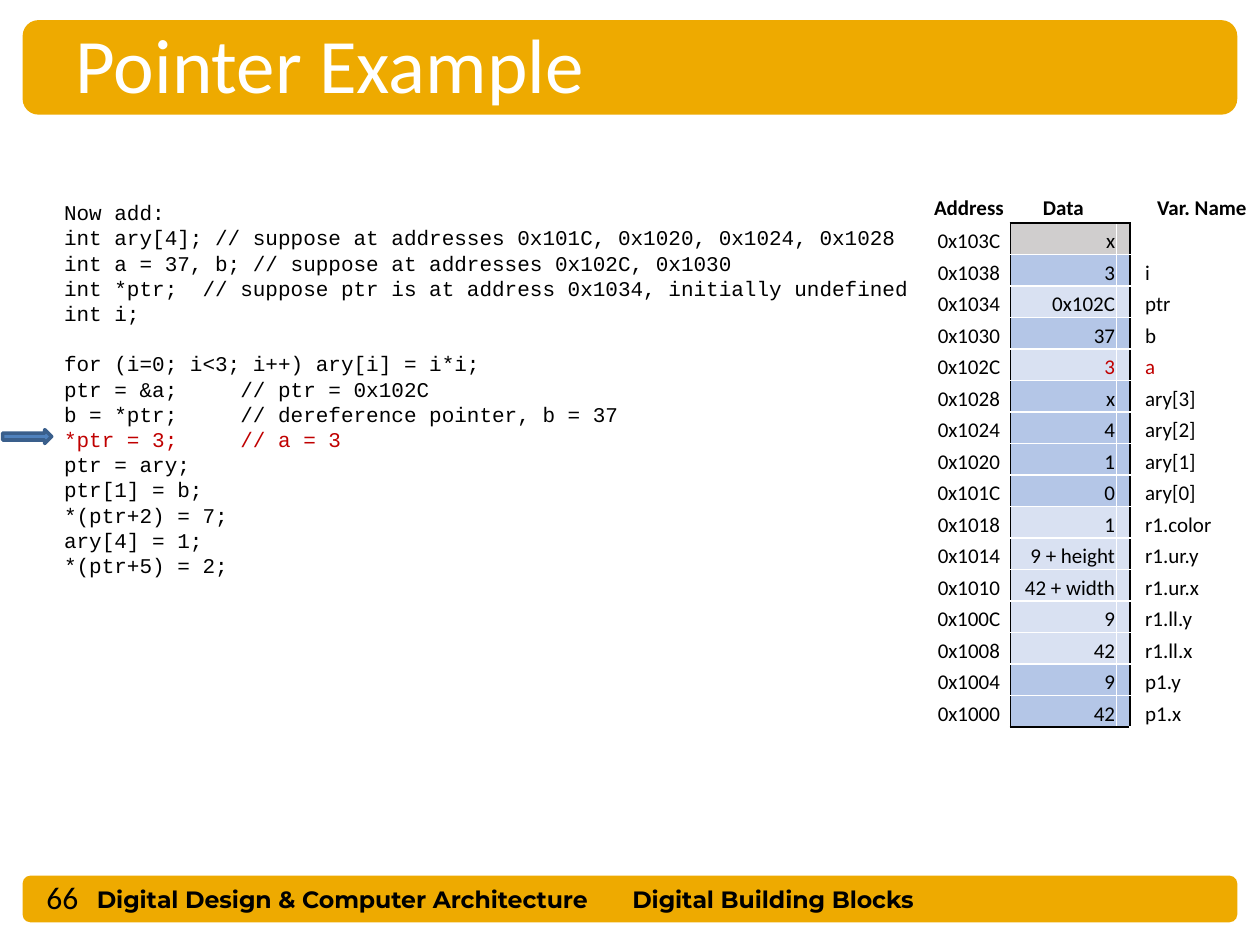
from typing import NamedTuple, Optional

from lxml.etree import SubElement
from pptx import Presentation
from pptx.dml.color import RGBColor
from pptx.enum.shapes import MSO_SHAPE as Shape
from pptx.enum.text import MSO_ANCHOR as Anchor, PP_ALIGN as Align
from pptx.oxml.ns import qn
from pptx.util import Emu, Pt

SCALE = 9144
BLACK = RGBColor(0x00, 0x00, 0x00)
WHITE = RGBColor(0xFF, 0xFF, 0xFF)
GOLD = RGBColor(0xEE, 0xAA, 0x00)
RED = RGBColor(0xC0, 0x00, 0x00)
BLUE = RGBColor(0x4F, 0x81, 0xBD)
DARK_BLUE = RGBColor(0x3A, 0x5F, 0x8C)
GREY = RGBColor(0xD0, 0xCE, 0xCE)
MID = RGBColor(0xB4, 0xC6, 0xE7)
PALE = RGBColor(0xD9, 0xE1, 0xF2)


class Box(NamedTuple):
    x: int
    y: int
    w: int
    h: int


class Style(NamedTuple):
    font: str
    size: float
    color: RGBColor = BLACK
    bold: bool = False


class Label(NamedTuple):
    text: str
    box: Box
    style: Style


class Word(NamedTuple):
    data: str
    name: str
    fill: RGBColor
    color: RGBColor = BLACK


FOOTER = Style("Montserrat", 13.5, bold=True)
CODE = Style("Courier New", 12)
CELL = Style("Calibri", 12)
CODE_PITCH = Pt(14.4)

BARS = [Box(18, 695, 964, 37), Box(18, 16, 964, 75)]
LABELS = [
    Label("Digital Design & Computer Architecture", Box(67, 697, 444, 33), FOOTER),
    Label("Digital Building Blocks", Box(492, 697, 294, 33), FOOTER),
    Label("66", Box(27, 692, 82, 39), Style("Calibri", 18)),
]
DECLARATIONS = [
    "Now add:",
    "int ary[4]; // suppose at addresses 0x101C, 0x1020, 0x1024, 0x1028",
    "int a = 37, b; // suppose at addresses 0x102C, 0x1030",
    "int *ptr;  // suppose ptr is at address 0x1034, initially undefined",
    "int i;",
]
CURRENT = "*ptr = 3;     // a = 3"
STATEMENTS = [
    "for (i=0; i<3; i++) ary[i] = i*i;",
    "ptr = &a;     // ptr = 0x102C",
    "b = *ptr;     // dereference pointer, b = 37",
    CURRENT,
    "ptr = ary;",
    "ptr[1] = b;",
    "*(ptr+2) = 7;",
    "ary[4] = 1;",
    "*(ptr+5) = 2;",
]
TOP_ADDRESS = 0x103C
HEADINGS = ["Address", "Data", "", "", "Var. Name"]
COLUMNS = [66, 84, 11, 11, 92]
ROW = 25
ALIGNS = [Align.CENTER, Align.RIGHT, Align.LEFT, Align.LEFT, Align.LEFT]
MEMORY = [
    Word("x", "", GREY),
    Word("3", "i", MID),
    Word("0x102C", "ptr", PALE),
    Word("37", "b", MID),
    Word("3", "a", PALE, RED),
    Word("x", "ary[3]", MID),
    Word("4", "ary[2]", MID),
    Word("1", "ary[1]", MID),
    Word("0", "ary[0]", MID),
    Word("1", "r1.color", PALE),
    Word("9 + height", "r1.ur.y", PALE),
    Word("42 + width", "r1.ur.x", PALE),
    Word("9", "r1.ll.y", PALE),
    Word("42", "r1.ll.x", PALE),
    Word("9", "p1.y", MID),
    Word("42", "p1.x", MID),
]


def px(n: int) -> Emu:
    return Emu(n * SCALE)


def emu(box: Box) -> list[Emu]:
    return [px(n) for n in box]


def write(p, text: str, style: Style) -> None:
    p.text = text
    f = p.font
    f.name, f.size, f.bold = style.font, Pt(style.size), style.bold
    f.color.rgb = style.color


def add_solid(s, kind: Shape, box: Box, fill: RGBColor, line: Optional[RGBColor] = None) -> None:
    sp = s.shapes.add_shape(kind, *emu(box))
    sp.shadow.inherit = False
    sp.fill.solid()
    sp.fill.fore_color.rgb = fill
    if line is None:
        sp.line.fill.background()
    else:
        sp.line.color.rgb = line
        sp.line.width = Pt(2)


def add_text(s, box: Box):
    tf = s.shapes.add_textbox(*emu(box)).text_frame
    tf.word_wrap = True
    tf.vertical_anchor = Anchor.MIDDLE
    return tf


def add_title(s, text: str, box: Box) -> None:
    sp = s.shapes.title
    sp.left, sp.top, sp.width, sp.height = emu(box)
    s.shapes._spTree.append(sp._element)
    tf = sp.text_frame
    tf.vertical_anchor = Anchor.MIDDLE
    p = tf.paragraphs[0]
    write(p, text, Style("Calibri", 44, WHITE))
    p.alignment = Align.LEFT


def add_code(s, box: Box) -> None:
    tf = add_text(s, box)
    for i, text in enumerate(DECLARATIONS + STATEMENTS):
        p = tf.add_paragraph() if i else tf.paragraphs[0]
        write(p, text, CODE._replace(color=RED if text == CURRENT else BLACK))
        p.line_spacing = CODE_PITCH
        if i == len(DECLARATIONS):
            p.space_before = CODE_PITCH


def set_cell(cell, text: str, style: Style, align: Align, anchor: Anchor) -> None:
    cell.margin_left = cell.margin_right = cell.margin_top = px(1)
    cell.margin_bottom = 0
    cell.vertical_anchor = anchor
    p = cell.text_frame.paragraphs[0]
    write(p, text, style)
    p.alignment = align
    if not text:
        p._p.get_or_add_endParaRPr().set("sz", str(style.size * 100))


def set_borders(cell, **sides: RGBColor) -> None:
    tc_pr = cell._tc.get_or_add_tcPr()
    for i, side in enumerate(k for k in "LRTB" if k in sides):
        ln = SubElement(tc_pr, qn(f"a:ln{side}"), w=str(Pt(1)))
        tc_pr.insert(i, ln)
        fill = SubElement(ln, qn("a:solidFill"))
        SubElement(fill, qn("a:srgbClr"), val=str(sides[side]))


def add_memory(s, x: int, y: int) -> None:
    rows = len(MEMORY) + 1
    box = Box(x, y, sum(COLUMNS), ROW * rows)
    table = s.shapes.add_table(rows, len(COLUMNS), *emu(box)).table
    table.first_row = table.horz_banding = False
    for column, width in zip(table.columns, COLUMNS):
        column.width = px(width)
    for row in table.rows:
        row.height = px(ROW)
    for cell in table.iter_cells():
        cell.fill.background()
    for c, text in enumerate(HEADINGS):
        set_cell(table.cell(0, c), text, CELL._replace(bold=True), Align.CENTER, Anchor.MIDDLE)
    for c in (1, 2):
        set_borders(table.cell(0, c), B=BLACK)
    for r, word in enumerate(MEMORY, 1):
        address = f"0x{TOP_ADDRESS - 4 * (r - 1):X}"
        cells = [table.cell(r, c) for c in range(len(COLUMNS))]
        for c, text in enumerate([address, word.data, "", "", word.name]):
            color = word.color if c else BLACK
            set_cell(cells[c], text, CELL._replace(color=color), ALIGNS[c], Anchor.BOTTOM)
        for cell in cells[1:3]:
            cell.fill.solid()
            cell.fill.fore_color.rgb = word.fill
        top = BLACK if r == 1 else WHITE
        bottom = BLACK if r == len(MEMORY) else WHITE
        set_borders(cells[0], R=BLACK)
        set_borders(cells[1], L=BLACK, T=top, B=bottom)
        set_borders(cells[2], R=BLACK, T=top, B=bottom)
        set_borders(cells[3], L=BLACK)


def main() -> None:
    prs = Presentation()
    prs.slide_width, prs.slide_height = px(1000), px(750)
    s = prs.slides.add_slide(prs.slide_layouts[5])
    for bar in BARS:
        add_solid(s, Shape.ROUNDED_RECTANGLE, bar, GOLD)
    for label in LABELS:
        write(add_text(s, label.box).paragraphs[0], label.text, label.style)
    add_title(s, "Pointer Example", Box(50, 8, 867, 84))
    add_code(s, Box(41, 152, 695, 313))
    add_solid(s, Shape.RIGHT_ARROW, Box(2, 341, 39, 11), BLUE, DARK_BLUE)
    add_memory(s, 736, 152)
    prs.save("out.pptx")


if __name__ == "__main__":
    main()
